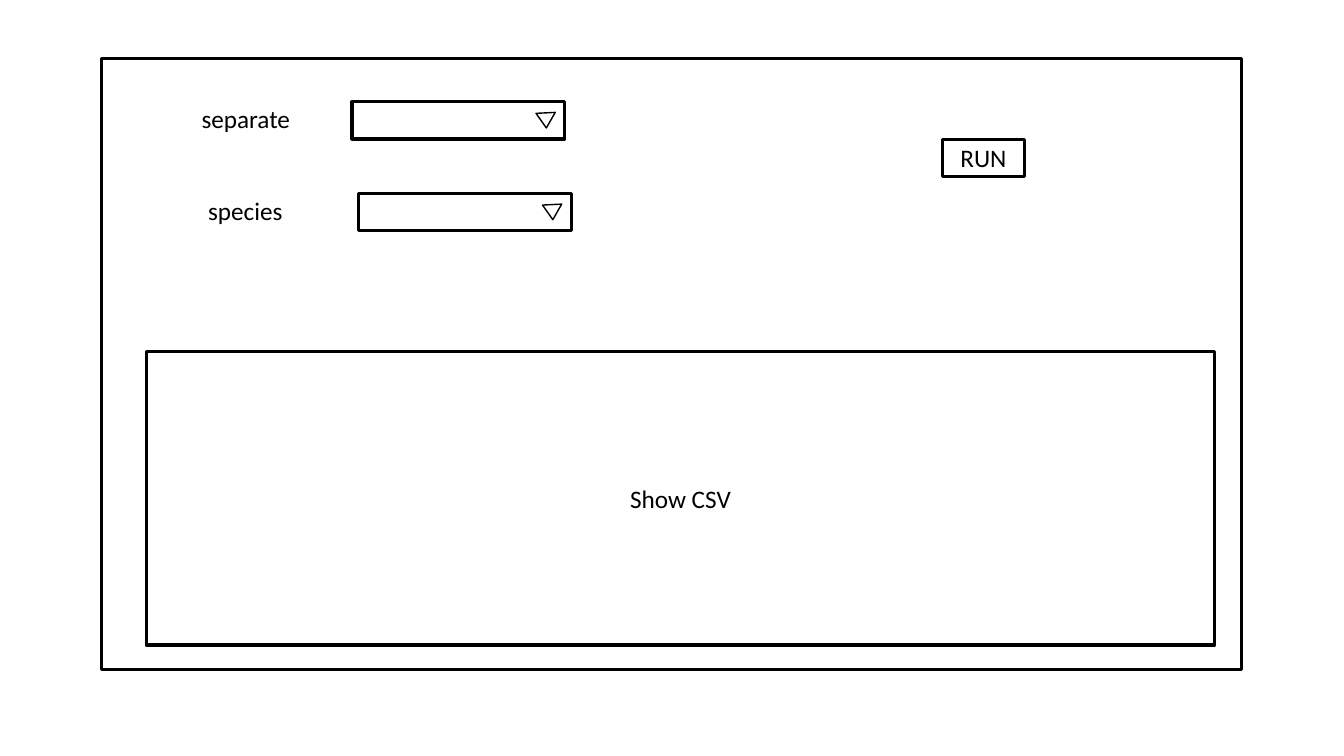
from dataclasses import dataclass

from pptx import Presentation
from pptx.dml.color import RGBColor
from pptx.enum.shapes import MSO_SHAPE
from pptx.enum.text import MSO_ANCHOR, MSO_AUTO_SIZE, PP_ALIGN
from pptx.util import Inches, Pt

WIDE, HIGH = Inches(13.333), Inches(7.5)


@dataclass(frozen=True)
class Theme:
    """Colours, type and line weights of the slide."""
    ink: RGBColor = RGBColor(0, 0, 0)
    paper: RGBColor = RGBColor(255, 255, 255)
    font: str = "Calibri"
    size: Pt = Pt(18)
    thick: Pt = Pt(2.25)
    thin: Pt = Pt(1)


THEME = Theme()


def inner(box, left, top, wide, high):
    """Return a box offset from the corner of another, in percent of the slide."""
    return box[0] + left, box[1] + top, wide, high


def scale(box):
    """Turn a box in percent of the slide into lengths."""
    left, top, wide, high = box
    return (round(WIDE * left / 100), round(HIGH * top / 100),
            round(WIDE * wide / 100), round(HIGH * high / 100))


def write(frame, text, align):
    """Add one run of text in the theme's type."""
    para = frame.paragraphs[0]
    para.alignment = align
    run = para.add_run()
    run.text = text
    run.font.name = THEME.font
    run.font.size = THEME.size
    run.font.color.rgb = THEME.ink


def panel(shapes, box, text="", kind=MSO_SHAPE.RECTANGLE, weight=THEME.thick):
    """Draw an outlined shape with optional centred text."""
    shape = shapes.add_shape(kind, *scale(box))
    shape.shadow.inherit = False
    shape.fill.solid()
    shape.fill.fore_color.rgb = THEME.paper
    shape.line.color.rgb = THEME.ink
    shape.line.width = weight
    if text:
        shape.text_frame.vertical_anchor = MSO_ANCHOR.MIDDLE
        write(shape.text_frame, text, PP_ALIGN.CENTER)
    return shape


def field(shapes, box, name):
    """Group a label with its drop-down list."""
    parts = shapes.add_group_shape().shapes
    panel(parts, inner(box, 11.93, 0.4, 15.83, 4.93))
    arrow = panel(parts, inner(box, 25.65, 1.87, 1.43, 2),
                  kind=MSO_SHAPE.ISOSCELES_TRIANGLE, weight=THEME.thin)
    arrow.rotation = 177.2
    label = parts.add_textbox(*scale(inner(box, 0, 0, 10.58, 5.33)))
    label.text_frame.word_wrap = True
    label.text_frame.auto_size = MSO_AUTO_SIZE.SHAPE_TO_FIT_TEXT
    write(label.text_frame, name, PP_ALIGN.LEFT)


def window(shapes, box):
    """Draw the app window with its table view, fields and button."""
    panel(shapes, box)
    panel(shapes, inner(box, 3.3, 38.8, 79.5, 38.8), "Show CSV")
    for row, name in enumerate(("separate", "species")):
        field(shapes, inner(box, 6.68 + 0.48 * row, 5.33 + 12.13 * row, 27.75, 5.33), name)
    panel(shapes, inner(box, 62.55, 10.67, 6.08, 4.93), "RUN")


def main():
    """Build and save the slide."""
    deck = Presentation()
    deck.slide_width, deck.slide_height = WIDE, HIGH
    slide = deck.slides.add_slide(deck.slide_layouts[6])
    window(slide.shapes, (7.58, 7.73, 84.83, 80.8))
    deck.save("out.pptx")


if __name__ == "__main__":
    main()
